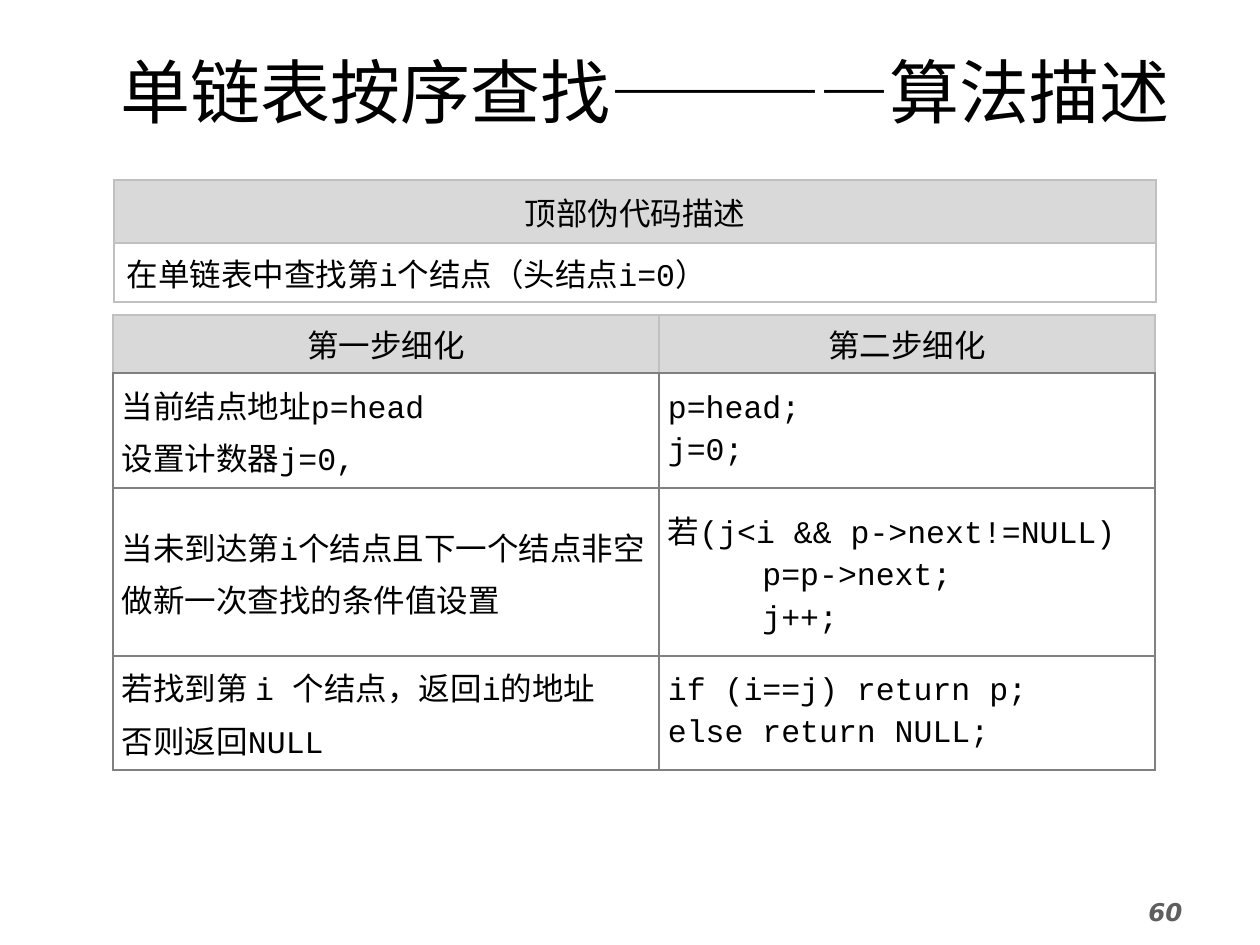
import lxml.etree
import pptx
import pptx.dml.color
import pptx.enum.text
import pptx.oxml.ns
import pptx.util

PX = 914400 / 126
ANCHOR = pptx.enum.text.MSO_ANCHOR
ALIGN = pptx.enum.text.PP_ALIGN
BLACK, WHITE, HEADER, SILVER, GRAY = "000000", "FFFFFF", "D9D9D9", "C0C0C0", "808080"
WIDE_INSETS = (13, 6, 13, 6)
TIGHT_INSETS = (9, 1, 9, 0)

PSEUDOCODE = [["顶部伪代码描述"], ["在单链表中查找第i个结点（头结点i=0）"]]
REFINEMENT = [
    ["第一步细化", "第二步细化"],
    ["当前结点地址p=head\n设置计数器j=0,", "p=head;\nj=0;"],
    ["当未到达第i个结点且下一个结点非空\n做新一次查找的条件值设置",
     "若(j<i && p->next!=NULL)\n     p=p->next;\n     j++;"],
    ["若找到第 i 个结点，返回i的地址\n否则返回NULL",
     "if (i==j) return p;\nelse return NULL;"],
]


def px(length):
    """Turn pixels into EMU."""
    return pptx.util.Emu(round(length * PX))


def color(value):
    """Turn a hex string into a colour."""
    return pptx.dml.color.RGBColor.from_string(value)


def write(frame, text, size, font, ink, align=ALIGN.LEFT, bold=None, italic=None):
    """Write one paragraph for each line, spaced by a fifth of the text size."""
    for index, line in enumerate(text.split("\n")):
        para = frame.add_paragraph() if index else frame.paragraphs[0]
        para.alignment = align
        if index:
            para.space_before = pptx.util.Pt(size * 0.2)
        span = para.add_run()
        span.text = line
        span.font.size = pptx.util.Pt(size)
        span.font.name = font
        span.font.bold = bold
        span.font.italic = italic
        span.font.color.rgb = color(ink)


def set_borders(cell, colors):
    """Draw one-point borders in left, right, top, bottom order."""
    properties = cell._tc.get_or_add_tcPr()
    for index, (side, ink) in enumerate(zip("LRTB", colors)):
        line = lxml.etree.Element(pptx.oxml.ns.qn(f"a:ln{side}"), w="12700")
        fill = lxml.etree.SubElement(line, pptx.oxml.ns.qn("a:solidFill"))
        lxml.etree.SubElement(fill, pptx.oxml.ns.qn("a:srgbClr"), val=ink)
        properties.insert(index, line)


def add_label(page, left, top, width, height, text, anchor, **style):
    """Add a text box with one styled label."""
    box = page.shapes.add_textbox(px(left), px(top), px(width), px(height))
    frame = box.text_frame
    frame.word_wrap = True
    frame.vertical_anchor = anchor
    write(frame, text, **style)


def add_grid(page, left, top, widths, heights, rows, insets, body_line):
    """Add a table with a shaded, centred header row."""
    table = page.shapes.add_table(len(heights), len(widths), px(left), px(top),
                                  px(sum(widths)), px(sum(heights))).table
    for column, width in zip(table.columns, widths):
        column.width = px(width)
    for r, (height, texts) in enumerate(zip(heights, rows)):
        table.rows[r].height = px(height)
        for c, text in enumerate(texts):
            cell = table.cell(r, c)
            cell.vertical_anchor = ANCHOR.MIDDLE
            margins = insets if r else WIDE_INSETS
            (cell.margin_left, cell.margin_top,
             cell.margin_right, cell.margin_bottom) = map(px, margins)
            cell.fill.solid()
            cell.fill.fore_color.rgb = color(WHITE if r else HEADER)
            set_borders(cell, [body_line] * 4 if r else [SILVER] * 3 + [body_line])
            write(cell.text_frame, text, 18, "Courier New", BLACK,
                  ALIGN.LEFT if r else ALIGN.CENTER)


def main():
    """Build the slide and save the deck."""
    deck = pptx.Presentation()
    deck.slide_width, deck.slide_height = px(1260), px(945)
    page = deck.slides.add_slide(deck.slide_layouts[6])
    add_label(page, 44, 42, 1202, 97, "单链表按序查找————算法描述", ANCHOR.MIDDLE,
              size=40, font="DejaVu Sans Mono", ink=BLACK, align=ALIGN.CENTER)
    add_label(page, 1136, 891, 129, 54, "60", ANCHOR.TOP,
              size=14, font="DejaVu Sans", ink="5F5F5F", bold=True, italic=True)
    add_grid(page, 113, 315, [546, 496], [58, 115, 168, 114], REFINEMENT, TIGHT_INSETS, GRAY)
    add_grid(page, 114, 180, [1042], [63, 59], PSEUDOCODE, WIDE_INSETS, SILVER)
    deck.save("out.pptx")


if __name__ == "__main__":
    main()
